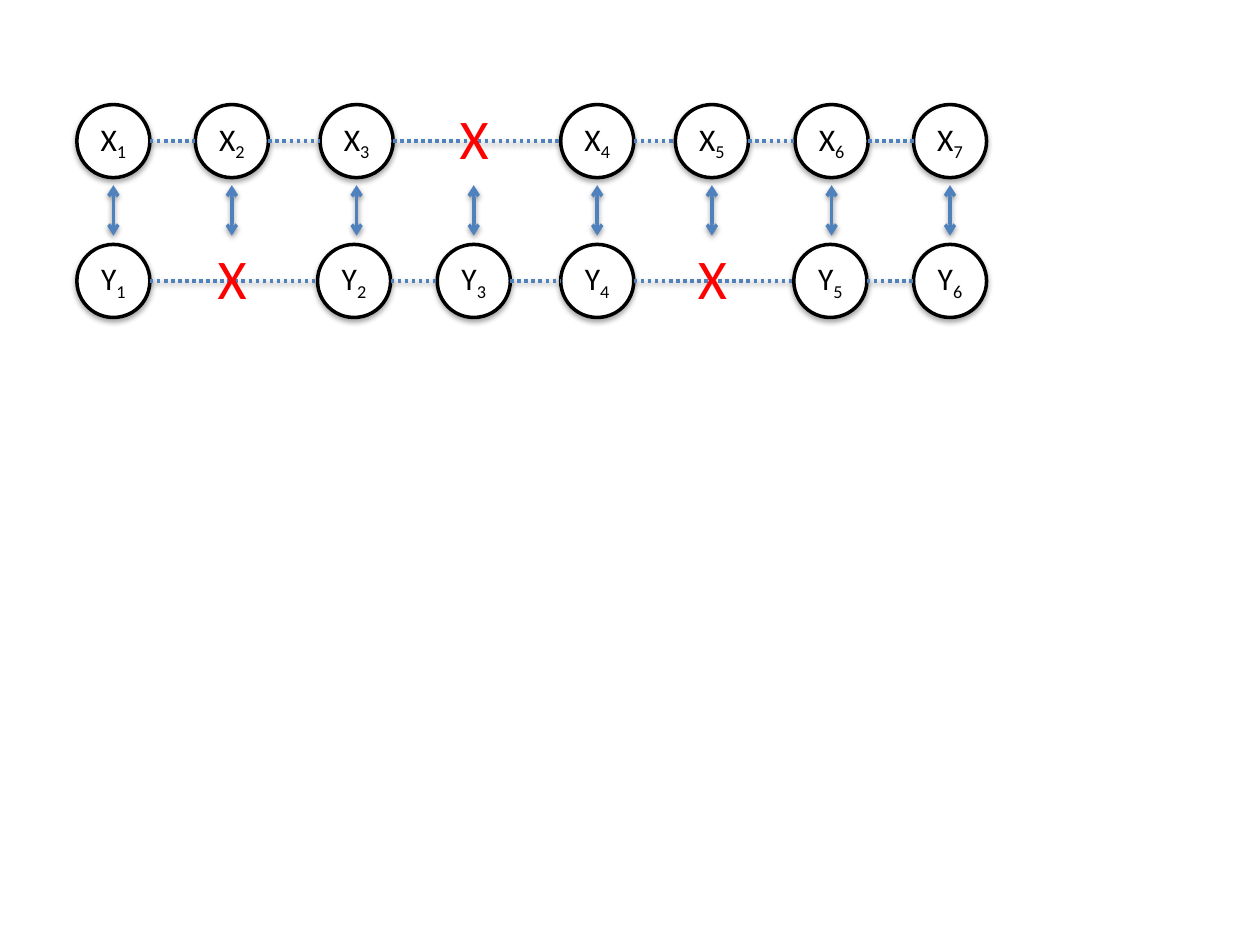
import pptx
import pptx.util
import pptx.dml.color
import pptx.enum.dml
import pptx.enum.shapes
import pptx.enum.text
import pptx.oxml
import pptx.oxml.ns
from itertools import pairwise

Inches, Pt = pptx.util.Inches, pptx.util.Pt
SIZE = 0.58
GAP = "gap"

# Each row: letter, centre height, and a (centre, kind) pair per column.
ROWS = [
    ("X", 1.12, [(0.9, "node"), (1.84, "node"), (2.83, "node"), (3.76, GAP),
                 (4.74, "node"), (5.65, "node"), (6.6, "node"), (7.54, "node")]),
    ("Y", 2.23, [(0.9, "node"), (1.84, GAP), (2.81, "node"), (3.76, "node"),
                 (4.74, "node"), (5.65, GAP), (6.59, "node"), (7.54, "node")]),
]


def color(text):
    return pptx.dml.color.RGBColor.from_string(text)


class Sketch:
    font = "Calibri"
    ink = "000000"
    paper = "FFFFFF"
    blue = "4F81BD"
    red = "FF0000"
    width = Pt(2)

    def __init__(self, slide):
        self.slide = slide

    def shade(self, item, alpha, dist):
        """Give a shape or connector a soft shadow straight below it."""
        props = item._element.spPr
        tag = pptx.oxml.ns.qn("a:effectLst")
        for old in props.findall(tag):
            props.remove(old)
        props.append(pptx.oxml.parse_xml(
            f'<a:effectLst {pptx.oxml.ns.nsdecls("a")}>'
            f'<a:outerShdw blurRad="{Pt(3.1)}" dist="{Pt(dist)}" dir="5400000"'
            ' rotWithShape="0"><a:srgbClr val="000000">'
            f'<a:alpha val="{alpha * 1000}"/></a:srgbClr></a:outerShdw>'
            '</a:effectLst>'))

    def style(self, para, size, tint):
        para.font.name = self.font
        para.font.size = Pt(size)
        para.font.color.rgb = color(tint)

    def node(self, x, y, letter, index):
        ring = self.slide.shapes.add_shape(
            pptx.enum.shapes.MSO_SHAPE.OVAL, Inches(x - SIZE / 2),
            Inches(y - SIZE / 2), Inches(SIZE), Inches(SIZE))
        ring.fill.solid()
        ring.fill.fore_color.rgb = color(self.paper)
        ring.line.color.rgb = color(self.ink)
        ring.line.width = self.width
        self.shade(ring, 35, 1.8)
        frame = ring.text_frame
        frame.margin_left = frame.margin_right = 0
        frame.vertical_anchor = pptx.enum.text.MSO_ANCHOR.MIDDLE
        para = frame.paragraphs[0]
        para.alignment = pptx.enum.text.PP_ALIGN.CENTER
        self.style(para, 18, self.ink)
        para.add_run().text = letter
        sub = para.add_run()
        sub.text = str(index)
        sub.font._element.set("baseline", "-25000")

    def line(self, x1, y1, x2, y2):
        link = self.slide.shapes.add_connector(
            pptx.enum.shapes.MSO_CONNECTOR.STRAIGHT,
            Inches(x1), Inches(y1), Inches(x2), Inches(y2))
        link.line.color.rgb = color(self.blue)
        link.line.width = self.width
        self.shade(link, 38, 1.6)
        return link

    def dots(self, x1, x2, y):
        link = self.line(x1, y, x2, y)
        link.line.dash_style = pptx.enum.dml.MSO_LINE.ROUND_DOT

    def arrow(self, x, y1, y2):
        """Draw an upright arrow with a head at both ends."""
        link = self.line(x, y1, x, y2)
        for end in ("headEnd", "tailEnd"):
            link.line._get_or_add_ln().append(pptx.oxml.parse_xml(
                f'<a:{end} {pptx.oxml.ns.nsdecls("a")} type="arrow"/>'))

    def cross(self, x, y):
        box = self.slide.shapes.add_textbox(
            Inches(x - 0.21), Inches(y - 0.35), Inches(0.43), Inches(0.64))
        frame = box.text_frame
        frame.word_wrap = False
        frame.auto_size = pptx.enum.text.MSO_AUTO_SIZE.SHAPE_TO_FIT_TEXT
        para = frame.paragraphs[0]
        para.text = "X"
        self.style(para, 32, self.red)


def main():
    deck = pptx.Presentation()
    deck.slide_width, deck.slide_height = Inches(10), Inches(7.5)
    sketch = Sketch(deck.slides.add_slide(deck.slide_layouts[6]))

    for letter, y, cells in ROWS:
        nodes = [x for x, kind in cells if kind != GAP]
        for index, x in enumerate(nodes, 1):
            sketch.node(x, y, letter, index)
        for left, right in pairwise(nodes):
            sketch.dots(left + SIZE / 2, right - SIZE / 2, y)
        for x, kind in cells:
            if kind == GAP:
                sketch.cross(x, y)

    for x, _ in ROWS[0][2]:
        sketch.arrow(x, 1.47, 1.87)

    deck.save("out.pptx")


if __name__ == "__main__":
    main()
